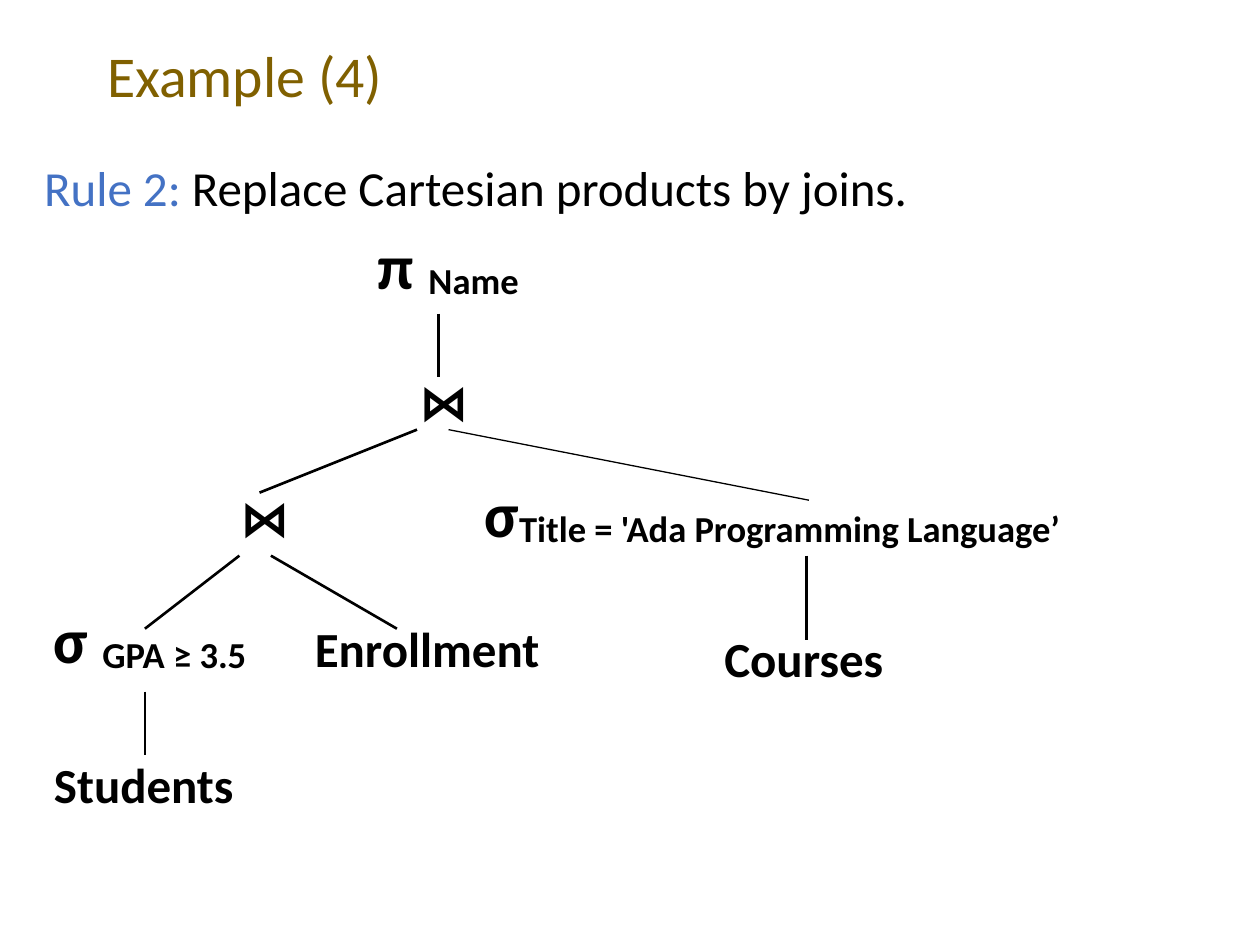
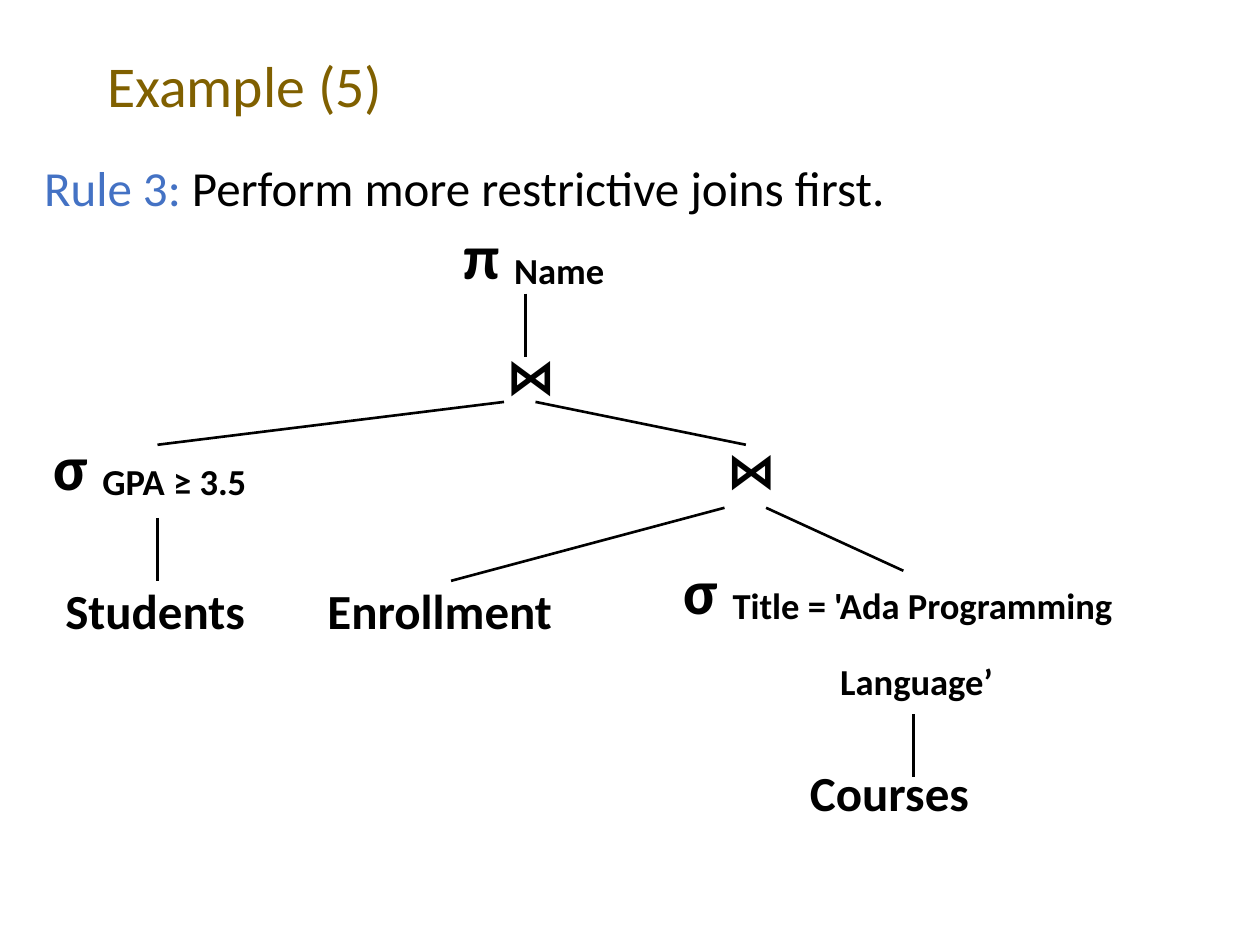
"""Build two slides of query trees for join rules."""
import pptx
import pptx.util
import pptx.dml.color
import pptx.enum.shapes
import pptx.enum.text
import pptx.oxml
import pptx.oxml.ns

Inch = pptx.util.Inches
FONT, GOLD, BLUE, BLACK = "Calibri", "806000", "4472C4", "000000"
BIG, MID, HEAD = 36, 28, 33
SUB = {"base": -8000}

LABELS = {
    "name": {"wide": 1.43, "size": BIG, "paras": [[("π ", {}), ("Name", SUB)]]},
    "gpa": {"wide": 2.1, "size": BIG, "paras": [[("σ ", {}), ("GPA ≥ 3.5", SUB)]]},
    "title": {"wide": 5.98, "size": BIG,
              "paras": [[("σ", {}), ("Title = 'Ada Programming Language’", SUB)]]},
    "split": {"wide": 4.42, "size": BIG,
              "paras": [[("σ ", {}), ("Title = 'Ada Programming", SUB)],
                        [("Language’", SUB)]], "dents": (0, 1.24)},
    "join": {"wide": 0.53, "paras": [[("⋈", {})]]},
    "courses": {"wide": 1.55, "paras": [[("Courses", {})]]},
    "enroll": {"wide": 2.11, "paras": [[("Enrollment", {})]]},
    "students": {"wide": 1.66, "paras": [[("Students", {})]]},
}

SLIDES = [
    {"title": "Example (4)", "top": 0.25, "tall": 5.42,
     "rule": "Rule 2:", "text": " Replace Cartesian products by joins.",
     "nodes": [("name", 2.9, 1.75), ("join", 3.23, 2.9), ("join", 1.81, 3.82),
               ("title", 3.75, 3.72), ("gpa", 0.33, 4.72), ("enroll", 2.4, 4.86),
               ("courses", 5.65, 4.94), ("students", 0.33, 5.94)],
     "edges": [(3.48, 2.49, 3.48, 2.99, 1.5), (3.31, 3.41, 2.06, 3.91, 1.5),
               (3.56, 3.41, 6.42, 3.97, 0.75), (1.9, 4.41, 1.15, 4.99, 1.5),
               (2.15, 4.41, 3.15, 4.99, 1.5), (6.4, 4.41, 6.4, 5.08, 1.5),
               (1.15, 5.49, 1.15, 5.99, 1.5)]},
    {"title": "Example (5)", "top": 0.33, "tall": 5.25,
     "rule": "Rule 3:", "text": " Perform more restrictive joins first.",
     "nodes": [("name", 3.58, 1.67), ("join", 3.92, 2.69), ("gpa", 0.33, 3.34),
               ("join", 5.67, 3.44), ("students", 0.42, 4.56), ("enroll", 2.5, 4.56),
               ("split", 5.33, 4.33), ("courses", 6.33, 6)],
     "edges": [(4.17, 2.33, 4.17, 2.83, 1.5), (4, 3.19, 1.25, 3.53, 1.5),
               (4.25, 3.19, 5.92, 3.53, 1.5), (1.25, 4.11, 1.25, 4.61, 1.5),
               (5.75, 4.03, 3.58, 4.61, 1.5), (6.08, 4.03, 7.17, 4.53, 1.5),
               (7.25, 5.67, 7.25, 6.17, 1.5)]},
]


def paint(code):
    return pptx.dml.color.RGBColor.from_string(code)


def write(frame, paras, size=MID, color=BLACK, bold=False, dents=(0,),
          first=0, space=0, line=1.0):
    for num, (runs, dent) in enumerate(zip(paras, dents)):
        para = frame.add_paragraph() if num else frame.paragraphs[0]
        para.alignment = pptx.enum.text.PP_ALIGN.LEFT
        para.line_spacing = line
        para.space_before = pptx.util.Pt(space)
        props = para._p.get_or_add_pPr()
        props.set("marL", str(Inch(dent)))
        props.set("indent", str(Inch(first)))
        pptx.oxml.ns.qn("a:buNone")
        props.append(pptx.oxml.parse_xml(
            '<a:buNone xmlns:a="http://schemas.openxmlformats.org/drawingml/2006/main"/>'))
        for text, look in runs:
            run = para.add_run()
            run.text = text
            run.font.name, run.font.size = FONT, pptx.util.Pt(size)
            run.font.bold = bold
            run.font.color.rgb = paint(look.get("color", color))
            if "base" in look:
                run._r.get_or_add_rPr().set("baseline", str(look["base"]))


def place(shape, left, top, wide, tall):
    shape.left, shape.top = Inch(left), Inch(top)
    shape.width, shape.height = Inch(wide), Inch(tall)


def node(slide, kind, left, top):
    label = dict(LABELS[kind])
    wide = label.pop("wide")
    tall = 0.1 + len(label["paras"]) * label.get("size", MID) / 60
    box = slide.shapes.add_textbox(Inch(left), Inch(top), Inch(wide), Inch(tall))
    box.text_frame.word_wrap = False
    write(box.text_frame, bold=True, **label)


def edge(slide, *ends, width):
    kind = pptx.enum.shapes.MSO_CONNECTOR.STRAIGHT
    line = slide.shapes.add_connector(kind, *map(Inch, ends))
    line.line.color.rgb = paint(BLACK)
    line.line.width = pptx.util.Pt(width)
    props = line._element.spPr
    props.append(props.makeelement(pptx.oxml.ns.qn("a:effectLst"), {}))


def build(deck, page):
    slide = deck.slides.add_slide(deck.slide_layouts[1])
    title, body = slide.placeholders
    place(title, 0.75, page["top"], 8.5, 0.75)
    title.text_frame.vertical_anchor = pptx.enum.text.MSO_ANCHOR.MIDDLE
    write(title.text_frame, [[(page["title"], {})]], size=HEAD, color=GOLD, line=0.9)
    place(body, 0.25, 1.25, 9.5, page["tall"])
    write(body.text_frame, [[(page["rule"], {"color": BLUE}), (page["text"], {})]],
          dents=(0.19,), first=-0.19, space=7.5, line=0.9)
    for kind, left, top in page["nodes"]:
        node(slide, kind, left, top)
    for *ends, width in page["edges"]:
        edge(slide, *ends, width=width)


def main():
    deck = pptx.Presentation()
    deck.slide_width, deck.slide_height = Inch(10), Inch(7.5)
    for page in SLIDES:
        build(deck, page)
    deck.save("out.pptx")


if __name__ == "__main__":
    main()
